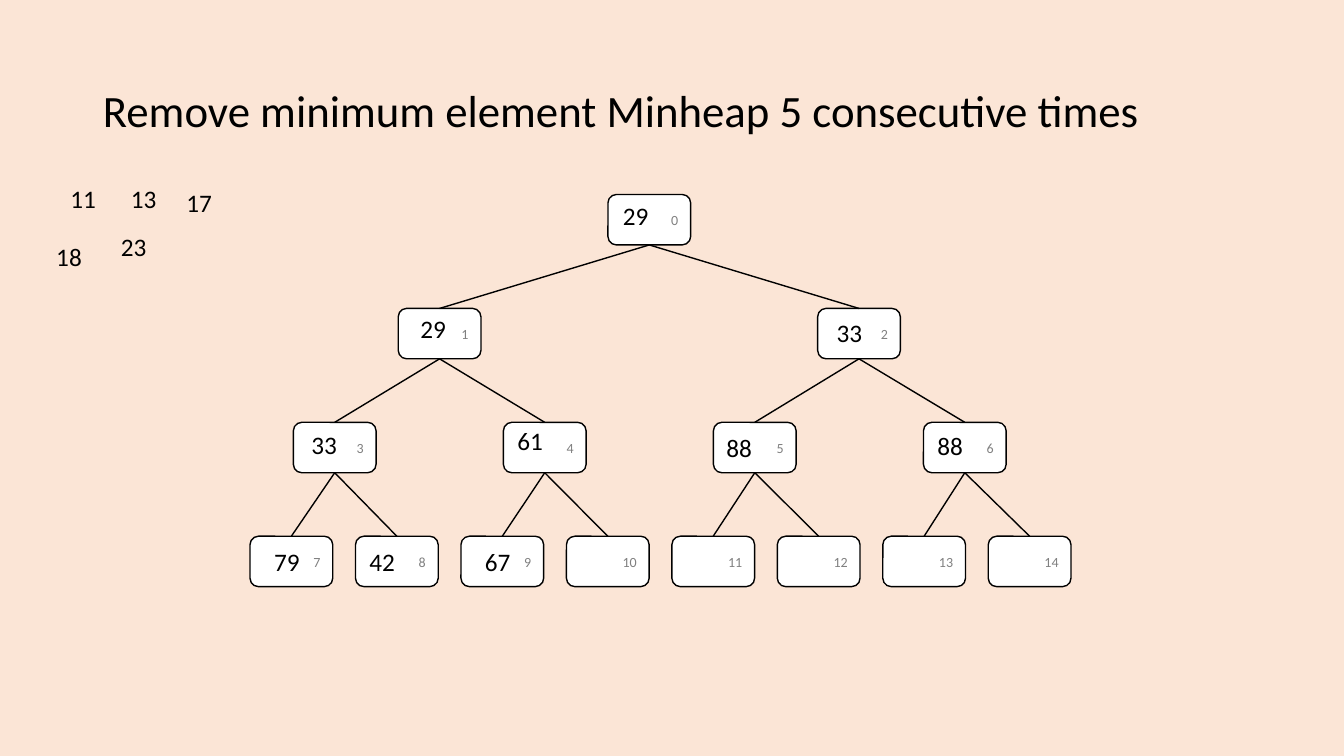
from pptx import Presentation
from pptx.dml.color import RGBColor
from pptx.enum.shapes import MSO_CONNECTOR as Connector, MSO_SHAPE as Shape
from pptx.enum.text import MSO_ANCHOR as Anchor, MSO_AUTO_SIZE as AutoSize, PP_ALIGN as Align
from pptx.oxml.ns import qn
from pptx.util import Inches, Pt
from lxml.etree import SubElement

COLORS = {"background": "FBE5D6", "node": "FFFFFF", "ink": "000000", "index": "808080"}
TITLE = {"size": Pt(32), "name": "Calibri", "bold": False}
KEY = {"size": Pt(18), "name": "Calibri"}
INDEX = {"size": Pt(10), "name": "Calibri"}
NODE_SIZE = (0.82, 0.5)
KEY_SIZE = (0.46, 0.4)
LEVEL_STEP = 1.13
LEVELS = [(3.55, 0), (1.47, 4.16), (0.43, 2.083), (0, 1.046)]
HEAP = [
    ("29", 0.05, 0.01), ("29", 0.12, 0), ("33", 0.09, 0.04), ("33", 0.08, 0.02),
    ("61", 0.04, -0.02), ("88", 0.03, 0.05), ("88", 0.04, 0.03),
    ("79", 0.14, 0.05), ("42", 0.04, 0.05), ("67", 0.14, 0.05),
]
REMOVED = [("11", 0.14, 0), ("13", 0.74, 0), ("17", 1.29, 0.04),
           ("18", 0, 0.57), ("23", 0.64, 0.48)]


def color(name):
    return RGBColor.from_string(COLORS[name])


def apply(target, formats):
    for attribute, value in formats.items():
        setattr(target, attribute, value)


def write(frame, text, font_formats, ink, align):
    paragraph = frame.paragraphs[0]
    paragraph.text = text
    paragraph.alignment = align
    font = paragraph.runs[0].font
    apply(font, font_formats)
    font.color.rgb = color(ink)
    return paragraph


def add_title(slide, left, top, width, height):
    title = slide.shapes.title
    apply(title, {"left": Inches(left), "top": Inches(top),
                  "width": Inches(width), "height": Inches(height)})
    apply(title.text_frame, {"vertical_anchor": Anchor.MIDDLE, "word_wrap": True,
                             "auto_size": AutoSize.NONE})
    heading = write(title.text_frame, "Remove minimum element Minheap 5 consecutive times",
                    TITLE, "ink", Align.LEFT)
    heading.line_spacing = 0.9


def add_key(slide, text, left, top):
    key = slide.shapes.add_textbox(*map(Inches, (left, top, *KEY_SIZE)))
    apply(key.text_frame, {"word_wrap": False, "auto_size": AutoSize.SHAPE_TO_FIT_TEXT})
    write(key.text_frame, text, KEY, "ink", Align.LEFT)


def add_node(slide, index, left, top):
    node = slide.shapes.add_shape(Shape.ROUNDED_RECTANGLE,
                                  *map(Inches, (left, top, *NODE_SIZE)))
    node.shadow.inherit = False
    node.fill.solid()
    node.fill.fore_color.rgb = color("node")
    node.line.color.rgb = color("ink")
    node.line.width = Pt(1)
    node.text_frame.vertical_anchor = Anchor.MIDDLE
    write(node.text_frame, str(index), INDEX, "index", Align.RIGHT)
    return node


def add_edge(slide, parent, child):
    edge = slide.shapes.add_connector(Connector.STRAIGHT, 0, 0, 0, 0)
    edge.begin_connect(parent, 2)
    edge.end_connect(child, 0)
    edge.line.color.rgb = color("ink")
    edge.line.width = Pt(1)
    SubElement(edge.element.spPr, qn("a:effectLst"))


def add_heap(slide, left, top):
    places = [(left + start + column * gap, top + level * LEVEL_STEP)
              for level, (start, gap) in enumerate(LEVELS)
              for column in range(2 ** level)]
    nodes = [add_node(slide, index, *place) for index, place in enumerate(places)]
    for index in range(1, len(nodes)):
        add_edge(slide, nodes[(index - 1) // 2], nodes[index])
    for (text, dx, dy), (x, y) in zip(HEAP, places):
        add_key(slide, text, x + dx, y + dy)


def add_removed(slide, left, top):
    for text, dx, dy in REMOVED:
        add_key(slide, text, left + dx, top + dy)


def main():
    deck = Presentation()
    apply(deck, {"slide_width": Inches(13.33), "slide_height": Inches(7.5)})
    slide = deck.slides.add_slide(deck.slide_layouts.get_by_name("Title Only"))
    slide.background.fill.solid()
    slide.background.fill.fore_color.rgb = color("background")
    add_title(slide, 0.92, 0.4, 11.5, 1.45)
    add_heap(slide, 2.48, 1.93)
    add_removed(slide, 0.46, 1.77)
    deck.save("out.pptx")


if __name__ == "__main__":
    main()
